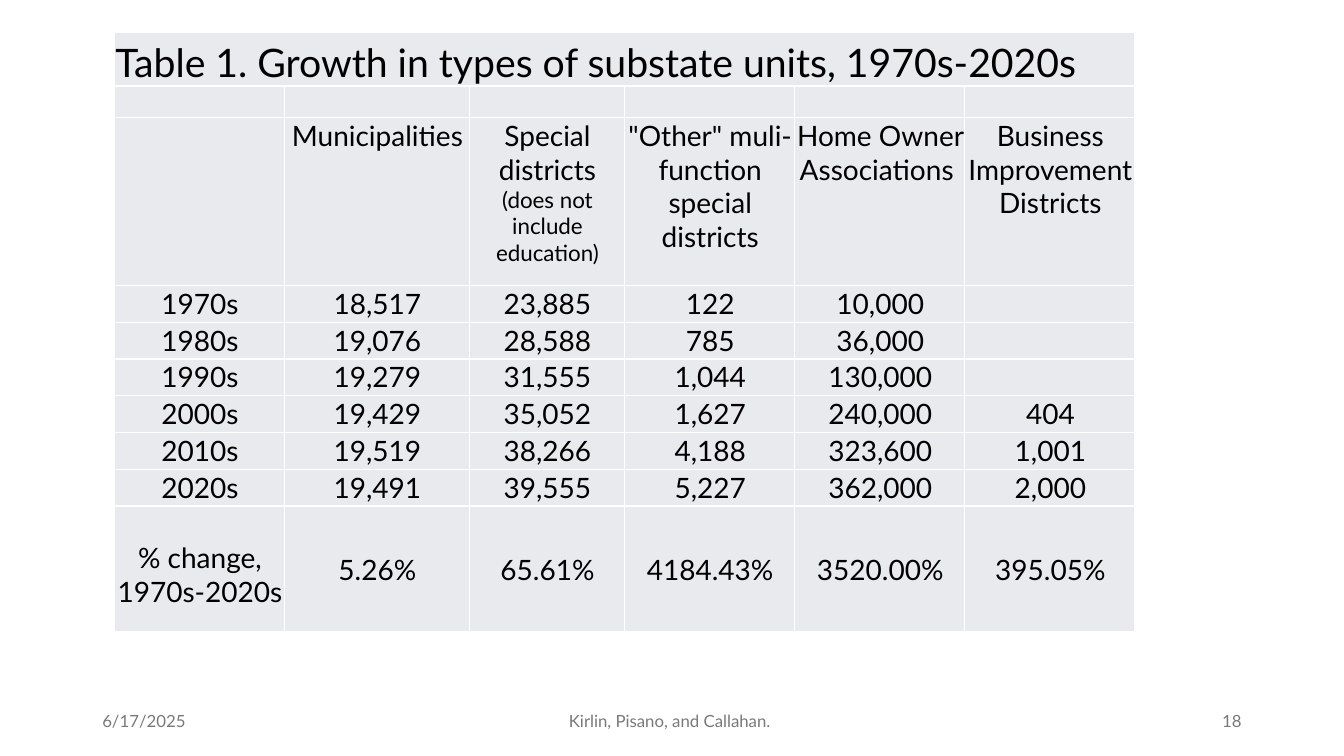
from dataclasses import dataclass

from lxml.etree import SubElement
from pptx import Presentation
from pptx.dml.color import RGBColor
from pptx.enum.text import MSO_ANCHOR, PP_ALIGN
from pptx.oxml.ns import qn
from pptx.slide import Slide
from pptx.table import _Cell
from pptx.text.text import _Paragraph
from pptx.util import Emu, Pt

EMU_PER_PX = 9525
FONT = "Lato"
BLACK = RGBColor(0x00, 0x00, 0x00)
WHITE = RGBColor(0xFF, 0xFF, 0xFF)
FOOTER_GREY = RGBColor(0x79, 0x79, 0x79)
CELL_GREY = RGBColor(0xE8, 0xEA, 0xED)

TITLE_SIZE = 28
BODY_SIZE = 20
NOTE_SIZE = 16
FOOTER_SIZE = 12
FOOTER_TOP = 667
FOOTER_HEIGHT = 38

TABLE_LEFT, TABLE_TOP = 109, 31
COLUMN_WIDTHS = [162, 176, 148, 162, 162, 162]
ROW_HEIGHTS = [51, 30, 160] + [35] * 6 + [120]
CHANGE_LABEL_TOP = 33


@dataclass(frozen=True)
class TextRun:
    text: str
    size: int = BODY_SIZE
    color: RGBColor = BLACK


@dataclass(frozen=True)
class FooterPart:
    text: str
    left: int
    width: int
    align: PP_ALIGN


@dataclass(frozen=True)
class TableRow:
    entries: list[list[TextRun]]
    anchor: MSO_ANCHOR = MSO_ANCHOR.TOP
    align: PP_ALIGN = PP_ALIGN.CENTER


FOOTER = [
    FooterPart("6/17/2025", 88, 288, PP_ALIGN.LEFT),
    FooterPart("Kirlin, Pisano, and Callahan. ", 424, 432, PP_ALIGN.CENTER),
    FooterPart("18", 904, 288, PP_ALIGN.RIGHT),
]

DECADES = [
    ["1970s", "18,517", "23,885", "122", "10,000", ""],
    ["1980s", "19,076", "28,588", "785", "36,000", ""],
    ["1990s", "19,279", "31,555", "1,044", "130,000", ""],
    ["2000s", "19,429", "35,052", "1,627", "240,000", "404"],
    ["2010s", "19,519", "38,266", "4,188", "323,600", "1,001"],
    ["2020s", "19,491", "39,555", "5,227", "362,000", "2,000"],
]
CHANGES = ["% change, 1970s-2020s", "5.26%", "65.61%", "4184.43%", "3520.00%", "395.05%"]


def plain(texts: list[str]) -> list[list[TextRun]]:
    return [[TextRun(text)] if text else [] for text in texts]


ROWS = [
    TableRow(
        [[TextRun("Table 1. Growth in types of substate units, 1970s-2020s", TITLE_SIZE)]],
        MSO_ANCHOR.BOTTOM,
        PP_ALIGN.LEFT,
    ),
    TableRow(plain([""] * 6)),
    TableRow([
        [],
        [TextRun("Municipalities")],
        [TextRun("Special districts "), TextRun("(does not include education)", NOTE_SIZE)],
        [TextRun('"Other" muli-function special districts')],
        [TextRun("Home Owner Associations ")],
        [TextRun("Business Improvement Districts")],
    ]),
    *[TableRow(plain(decade)) for decade in DECADES],
    TableRow(plain(CHANGES), MSO_ANCHOR.MIDDLE),
]


def px(length: int) -> Emu:
    return Emu(length * EMU_PER_PX)


def add_runs(paragraph: _Paragraph, runs: list[TextRun], align: PP_ALIGN) -> None:
    paragraph.alignment = align
    for part in runs:
        run = paragraph.add_run()
        run.text = part.text
        run.font.name = FONT
        run.font.size = Pt(part.size)
        run.font.color.rgb = part.color
    if not runs:
        SubElement(paragraph._p, qn("a:endParaRPr"), sz=str(NOTE_SIZE * 100))


def draw_footer(slide: Slide, part: FooterPart) -> None:
    box = slide.shapes.add_textbox(
        px(part.left), px(FOOTER_TOP), px(part.width), px(FOOTER_HEIGHT)
    )
    frame = box.text_frame
    frame.word_wrap = True
    frame.vertical_anchor = MSO_ANCHOR.MIDDLE
    add_runs(frame.paragraphs[0], [TextRun(part.text, FOOTER_SIZE, FOOTER_GREY)], part.align)


def style_cell(cell: _Cell) -> None:
    cell.margin_left = cell.margin_top = px(1)
    cell.margin_right = cell.margin_bottom = px(0)
    properties = cell._tc.get_or_add_tcPr()
    for side in ("a:lnL", "a:lnR", "a:lnT", "a:lnB"):
        border = SubElement(properties, qn(side), w=str(Pt(1)))
        border_fill = SubElement(border, qn("a:solidFill"))
        SubElement(border_fill, qn("a:srgbClr"), val=str(WHITE))
    cell.fill.solid()
    cell.fill.fore_color.rgb = CELL_GREY


def draw_table(slide: Slide, rows: list[TableRow]) -> None:
    table = slide.shapes.add_table(
        len(rows), len(COLUMN_WIDTHS), px(TABLE_LEFT), px(TABLE_TOP),
        px(sum(COLUMN_WIDTHS)), px(sum(ROW_HEIGHTS)),
    ).table
    table.first_row = False
    table.horz_banding = False
    for column, width in zip(table.columns, COLUMN_WIDTHS):
        column.width = px(width)
    for row, height in zip(table.rows, ROW_HEIGHTS):
        row.height = px(height)
    for cell in table.iter_cells():
        style_cell(cell)
    table.cell(0, 0).merge(table.cell(0, len(COLUMN_WIDTHS) - 1))
    for row_index, row in enumerate(rows):
        for column_index, runs in enumerate(row.entries):
            cell = table.cell(row_index, column_index)
            cell.vertical_anchor = row.anchor
            add_runs(cell.text_frame.paragraphs[0], runs, row.align)
    change_label = table.cell(len(rows) - 1, 0)
    change_label.vertical_anchor = MSO_ANCHOR.TOP
    change_label.margin_top = px(CHANGE_LABEL_TOP)


def main() -> None:
    presentation = Presentation()
    presentation.slide_width = px(1280)
    presentation.slide_height = px(720)
    slide = presentation.slides.add_slide(presentation.slide_layouts[6])
    for part in FOOTER:
        draw_footer(slide, part)
    draw_table(slide, ROWS)
    presentation.save("out.pptx")


if __name__ == "__main__":
    main()
